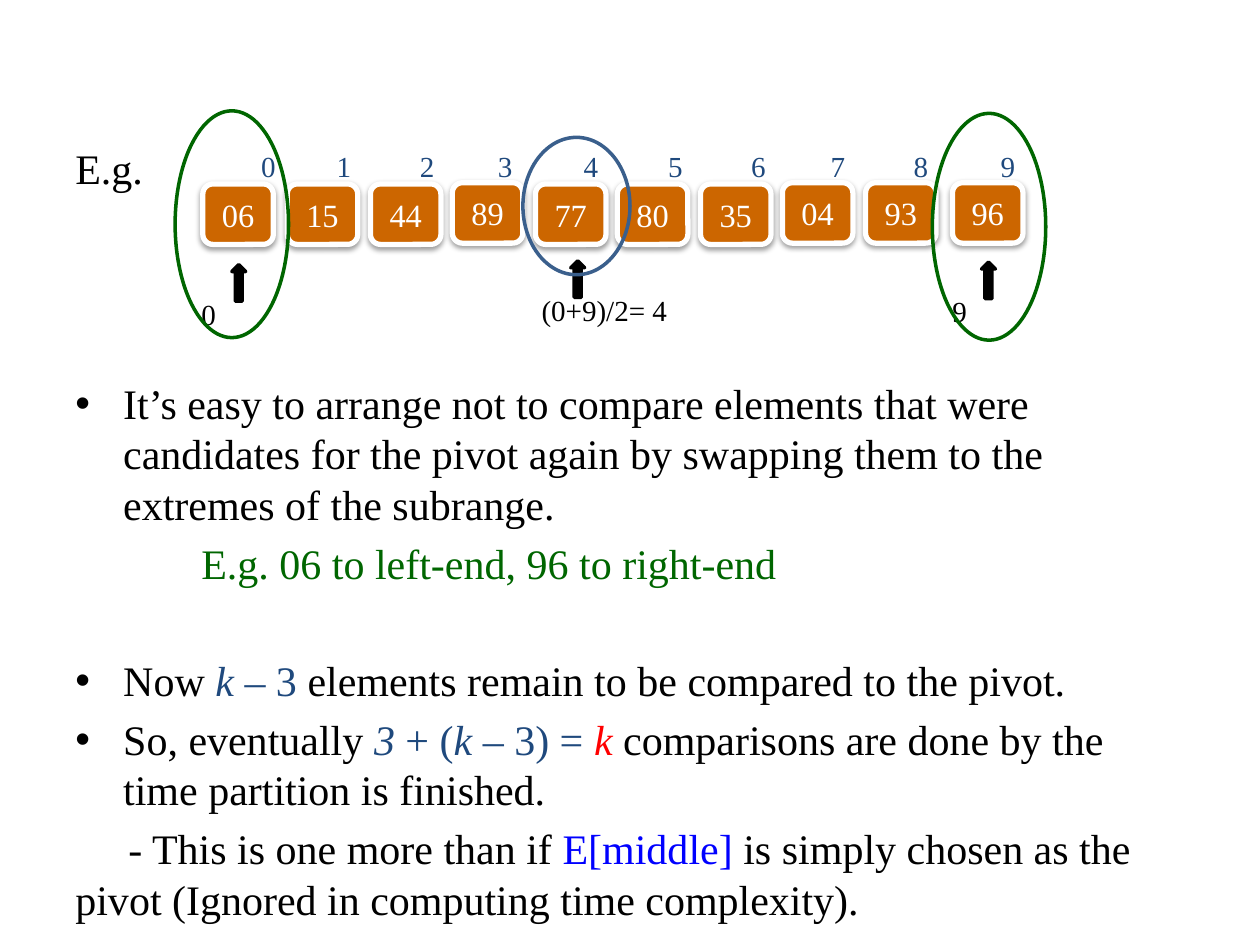
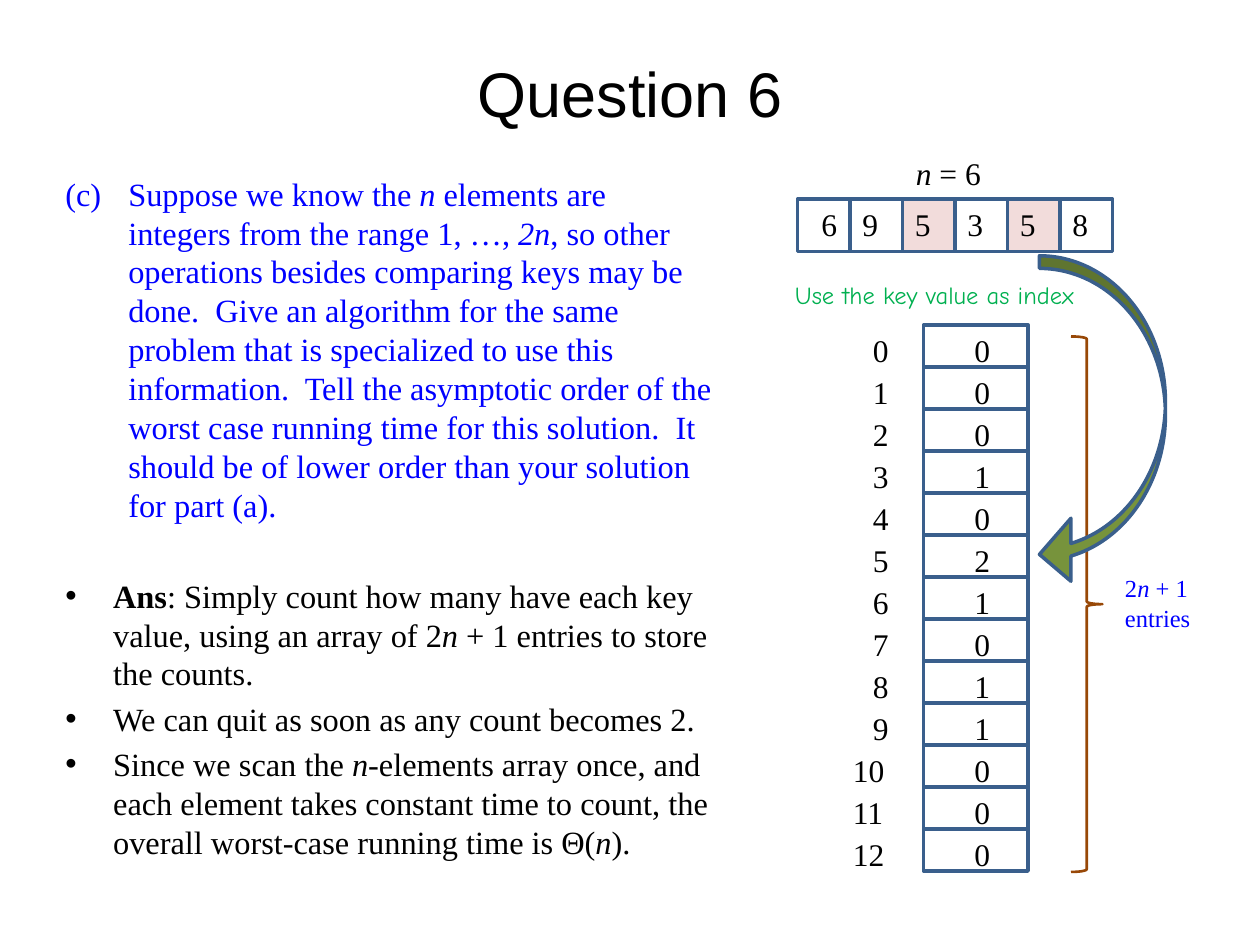
import dataclasses

import lxml.etree
import pptx
import pptx.dml.color
import pptx.enum.shapes
import pptx.enum.text
import pptx.oxml.ns
import pptx.util

Inches = pptx.util.Inches
Pt = pptx.util.Pt
RGB = pptx.dml.color.RGBColor.from_string
qn = pptx.oxml.ns.qn
SHAPE = pptx.enum.shapes.MSO_SHAPE
ALIGN = pptx.enum.text.PP_ALIGN
ANCHOR = pptx.enum.text.MSO_ANCHOR


@dataclasses.dataclass(frozen=True)
class Theme:
    serif: str = "Times New Roman"
    sans: str = "Arial"
    comic: str = "Comic Neue"
    black: str = "000000"
    white: str = "FFFFFF"
    navy: str = "1F497D"
    outline: str = "3A5F8C"
    blue: str = "0000FF"
    red: str = "FF0000"
    orange: str = "CC6600"
    brown: str = "984807"
    green: str = "006600"
    bright_green: str = "00B050"
    olive: str = "77933C"
    pink: str = "F2DCDB"
    title: float = 36
    body: float = 24
    answer: float = 18.5
    digit: float = 18
    index: float = 16.6
    note: float = 14


@dataclasses.dataclass
class Para:
    runs: list
    before: float = 0
    margin: float = 0
    indent: float = 0
    bullet: str = ""
    color: str = "000000"


theme = Theme()


def draw(slide, preset, box, fill=None, line=theme.outline, width=2):
    shape = slide.shapes.add_shape(preset, *map(Inches, box))
    shape.shadow.inherit = False
    if fill:
        shape.fill.solid()
        shape.fill.fore_color.rgb = RGB(fill)
    else:
        shape.fill.background()
    shape.line.color.rgb = RGB(line)
    shape.line.width = Pt(width)
    return shape


def write(place, paras, size, font=theme.serif, align=ALIGN.LEFT, anchor=ANCHOR.TOP, box=None):
    frame = (place.shapes.add_textbox(*map(Inches, box)) if box else place).text_frame
    frame.word_wrap = True
    frame.vertical_anchor = anchor
    for number, para in enumerate(paras):
        paragraph = frame.paragraphs[0] if number == 0 else frame.add_paragraph()
        paragraph.alignment = align
        if para.before:
            paragraph.space_before = Pt(para.before)
        props = paragraph._p.get_or_add_pPr()
        props.set("marL", str(Inches(para.margin)))
        props.set("indent", str(Inches(para.indent)))
        if para.bullet == "(c)":
            lxml.etree.SubElement(props, qn("a:buAutoNum"), type="alphaLcParenBoth", startAt="3")
        elif para.bullet:
            lxml.etree.SubElement(props, qn("a:buFont"), typeface=theme.sans)
            lxml.etree.SubElement(props, qn("a:buChar"), char=para.bullet)
        paragraph.font.name = font
        paragraph.font.size = Pt(size)
        paragraph.font.color.rgb = RGB(para.color)
        for text, *styles in para.runs:
            run = paragraph.add_run()
            run.text = text
            for style in styles:
                if style == "italic":
                    run.font.italic = True
                elif style == "bold":
                    run.font.bold = True
                else:
                    run.font.color.rgb = RGB(style)


deck = pptx.Presentation()
deck.slide_width = Inches(10)
deck.slide_height = Inches(7.5)
blank = deck.slide_layouts[6]

pivot = deck.slides.add_slide(blank)
bulleted = dict(margin=0.38, indent=-0.38, bullet="•")

write(pivot, [
    Para([("E.g.",)]),
    Para([("It’s easy to arrange not to compare elements that were candidates for the pivot "
           "again by swapping them to the extremes of the subrange.",)], before=105.6, **bulleted),
    Para([("E.g. 06 to left-end, 96 to right-end",)], before=4.8, margin=1, color=theme.green),
    Para([("Now ",), ("k", theme.navy, "italic"), (" – 3 ", theme.navy),
          ("elements remain to be compared to the pivot.",)], before=38.4, **bulleted),
    Para([("So, eventually ",), ("3", theme.navy, "italic"), (" + (", theme.navy),
          ("k", theme.navy, "italic"), (" – 3) = ", theme.navy), ("k", theme.red, "italic"),
          (" comparisons are done by the time partition is finished.",)], before=4.8, **bulleted),
    Para([("- This is one more than if ",), ("E[middle] ", theme.blue),
          ("is simply chosen as the pivot (Ignored in computing time complexity).",)],
         before=4.8, indent=0.42),
], theme.body, box=(0.5, 1.08, 9, 5.92))

elements = [
    ("06", 1.61, 1.46, 1.88), ("15", 2.28, 1.46, 2.48), ("44", 2.94, 1.46, 3.14),
    ("89", 3.59, 1.45, 3.76), ("77", 4.25, 1.46, 4.44), ("80", 4.9, 1.46, 5.11),
    ("35", 5.56, 1.46, 5.77), ("04", 6.21, 1.45, 6.4), ("93", 6.87, 1.45, 7.06),
    ("96", 7.56, 1.45, 7.75),
]
for index, (element, left, top, index_left) in enumerate(elements):
    cell = draw(pivot, SHAPE.ROUNDED_RECTANGLE, (left, top, 0.56, 0.48),
                theme.orange, theme.white, 3)
    effects = cell._element.spPr.find(qn("a:effectLst"))
    shadow = lxml.etree.SubElement(effects, qn("a:outerShdw"), blurRad=str(Pt(3.1)),
                                   dist=str(Pt(1.6)), dir="5400000", rotWithShape="0")
    tint = lxml.etree.SubElement(shadow, qn("a:srgbClr"), val=theme.black)
    lxml.etree.SubElement(tint, qn("a:alpha"), val="38000")
    cell.text_frame.margin_left = cell.text_frame.margin_right = 0
    write(cell, [Para([(element,)], color=theme.white)], theme.answer,
          align=ALIGN.CENTER, anchor=ANCHOR.MIDDLE)
    write(pivot, [Para([(str(index),)], color=theme.navy)], theme.index,
          align=ALIGN.CENTER, anchor=ANCHOR.MIDDLE, box=(index_left, 1.09, 0.5, 0.45))

for candidate, label_left, label_top, label_width, arrow_left in [
    ("(0+9)/2= 4", 4.2, 2.27, 1.28, 4.53),
    ("0", 1.5, 2.3, 0.32, 1.84),
    ("9", 7.46, 2.28, 0.32, 7.79),
]:
    write(pivot, [Para([(candidate,)])], theme.index,
          box=(label_left, label_top, label_width, 0.37))
    draw(pivot, SHAPE.UP_ARROW, (arrow_left, label_top - 0.2, 0.11, 0.29),
         theme.black, theme.black)

for ring, color in [
    ((1.39, 0.88, 0.9, 1.8), theme.green),
    ((7.4, 0.9, 0.9, 1.8), theme.green),
    ((4.15, 1.09, 0.85, 1.09), theme.outline),
]:
    draw(pivot, SHAPE.OVAL, ring, line=color)

question = deck.slides.add_slide(blank)
write(question, [Para([("Question 6",)])], theme.title, theme.sans, ALIGN.CENTER,
      ANCHOR.MIDDLE, (0.5, 0.3, 9, 0.87))

write(question, [
    Para([("Suppose we know the ",), ("n", "italic"),
          (" elements are integers from the range 1, …, ",), ("2n", "italic"),
          (", so other operations besides comparing keys may be done.  Give an algorithm for "
           "the same problem that is specialized to use this information.  Tell the asymptotic "
           "order of the worst case running time for this solution.  It should be of lower "
           "order than your solution for part (a).",)],
         margin=0.5, indent=-0.5, bullet="(c)", color=theme.blue),
    Para([("Ans", "bold"), (": Simply count how many have each key value, using an array of 2",),
          ("n", "italic"), (" + 1 entries to store the counts.",)], before=29.7, **bulleted),
    Para([("We can quit as soon as any count becomes 2.",)], before=3.7, **bulleted),
    Para([("Since we scan the ",), ("n", "italic"),
          ("-elements array once, and each element takes constant time to count, the overall "
           "worst-case running time is Θ(",), ("n", "italic"), (").",)], before=3.7, **bulleted),
], theme.answer, box=(0.42, 1.33, 5.33, 5.5))

keys = [6, 9, 5, 3, 5, 8]
key_side = 5 / 12
key_lefts = [6.33 + key_side * position for position in range(len(keys))]
for key, left in zip(keys, key_lefts):
    draw(question, SHAPE.RECTANGLE, (left, 1.58, key_side, key_side),
         theme.pink if keys.count(key) > 1 else theme.white)
for position, (key, left) in enumerate(zip(keys, key_lefts)):
    nudge = 0 if position else 0.09
    write(question, [Para([(str(key),)])], theme.digit, box=(left + nudge, 1.58, 0.34, 0.4))
write(question, [Para([("n", "italic"), (" = 6",)])], theme.digit, box=(7.17, 1.17, 1.17, 0.4))

row_height = 1 / 3
for entry in range(2 * len(keys) + 1):
    top = 2.58 + row_height * entry
    draw(question, SHAPE.RECTANGLE, (7.33, top, 0.83, row_height))
    entry_left, entry_width = (6.83, 0.34) if entry < 10 else (6.67, 0.5)
    write(question, [Para([(str(entry),)])], theme.digit,
          box=(entry_left, top, entry_width, 0.4))
    write(question, [Para([(str(keys.count(entry)),)])], theme.digit,
          align=ALIGN.CENTER, box=(7.42, top, 0.75, 0.4))

write(question, [Para([("Use the key value as index",)], color=theme.bright_green)],
      theme.note, theme.comic, box=(6.21, 2.17, 2.75, 0.34))
draw(question, SHAPE.RIGHT_BRACE, (8.5, 2.67, 0.25, 4.25), line=theme.brown, width=1.5)
write(question, [Para([("2",), ("n", "italic"), (" + 1 entries",)], color=theme.blue)],
      theme.note, box=(8.83, 4.5, 0.75, 0.57))
lookup = draw(question, SHAPE.CURVED_LEFT_ARROW, (8.25, 2.03, 1, 2.62), theme.olive)
for position, bend in enumerate((0.1, 0.5, 0.25)):
    lookup.adjustments[position] = bend

deck.save("out.pptx")
